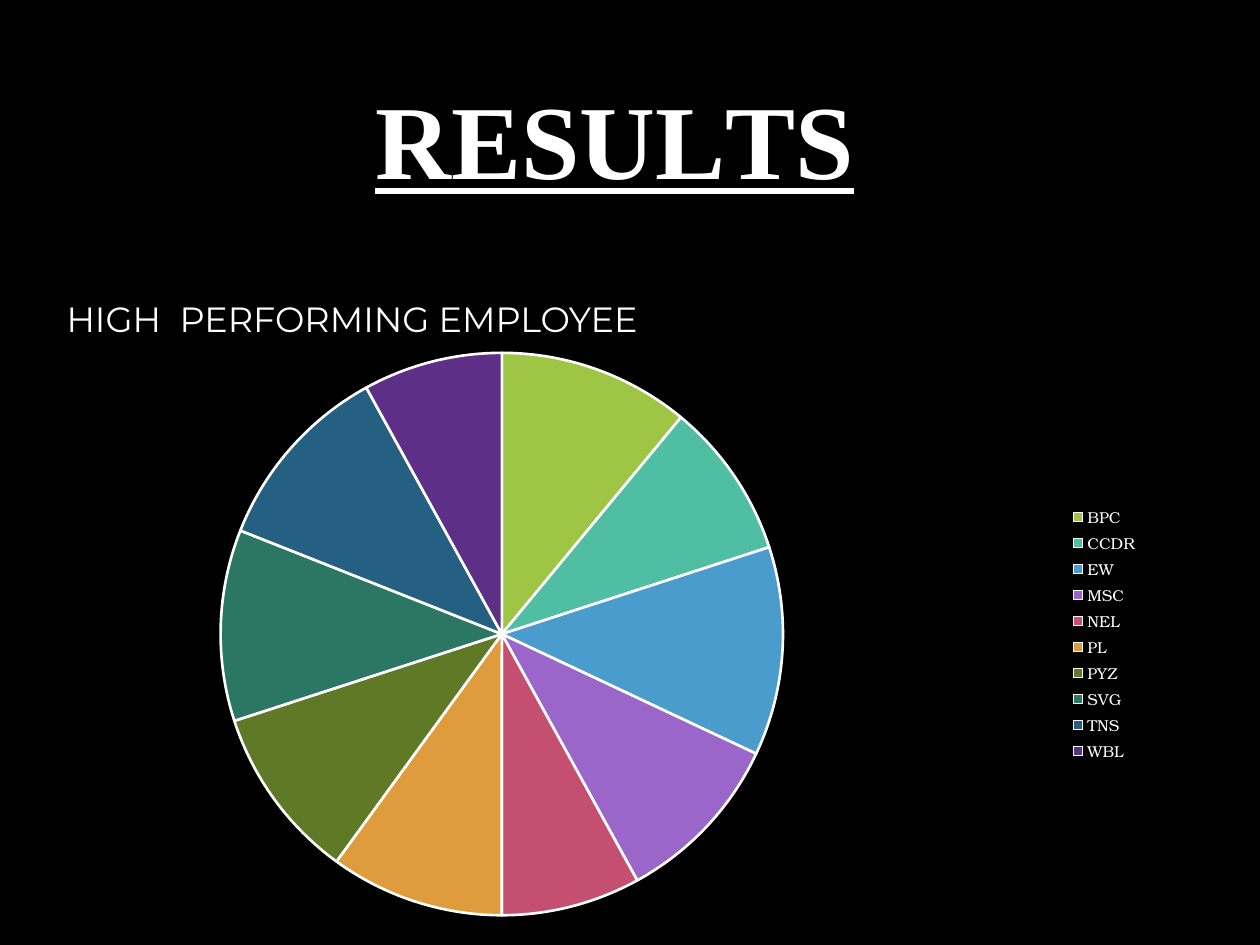
import pptx
import pptx.util
import pptx.dml.color
import pptx.chart.data
import pptx.enum.chart
import pptx.enum.text
from dataclasses import dataclass

WIDE, HIGH = 10, 7.5


@dataclass(frozen=True)
class Theme:
    back: str = "000000"
    ink: str = "FFFFFF"
    head: str = "Times New Roman"
    body: str = "Montserrat"
    chart: str = "TeX Gyre Bonum"
    head_size: int = 60
    body_size: int = 20
    chart_size: int = 10
    key_size: int = 9
    edge: float = 1.5


THEME = Theme()
TITLE = [("R", None), ("E", -0.4), ("S", 0.1), ("U", -0.3), ("L", -4), ("TS", 0)]
SHARES = [
    ("BPC", 11, "9EC544"),
    ("CCDR", 9, "50BEA3"),
    ("EW", 12, "4A9CCC"),
    ("MSC", 10, "9A66CA"),
    ("NEL", 8, "C54F71"),
    ("PL", 10, "DE9C3C"),
    ("PYZ", 10, "607926"),
    ("SVG", 11, "2C7664"),
    ("TNS", 11, "256082"),
    ("WBL", 8, "5D2F87"),
]


def color(code):
    return pptx.dml.color.RGBColor.from_string(code)


def area(left, top, width, height):
    return [pptx.util.Inches(n) for n in
            (left * WIDE, top * HIGH, width * WIDE, height * HIGH)]


def style(font, name, size):
    font.name = name
    font.size = pptx.util.Pt(size)
    font.color.rgb = color(THEME.ink)


def add_title(slide, box):
    title = slide.shapes.title
    title.left, title.top, title.width, title.height = box
    frame = title.text_frame
    frame.word_wrap = True
    frame.auto_size = pptx.enum.text.MSO_AUTO_SIZE.NONE
    frame.vertical_anchor = pptx.enum.text.MSO_ANCHOR.MIDDLE
    para = frame.paragraphs[0]
    para.alignment = pptx.enum.text.PP_ALIGN.CENTER
    para.line_spacing = 0.9
    for text, space in TITLE:
        run = para.add_run()
        run.text = text
        style(run.font, THEME.head, THEME.head_size)
        run.font.bold = run.font.underline = True
        if space is not None:
            run.font._element.set("spc", str(round(space * 100)))


def add_label(slide, box):
    frame = slide.shapes.add_textbox(*box).text_frame
    frame.word_wrap = True
    para = frame.paragraphs[0]
    para.line_spacing = 1.2
    para.space_before = pptx.util.Pt(10)
    run = para.add_run()
    run.text = "HIGH  PERFORMING EMPLOYEE"
    style(run.font, THEME.body, THEME.body_size)


def add_pie(slide, box):
    names, values, fills = zip(*SHARES)
    data = pptx.chart.data.CategoryChartData()
    data.categories = names
    data.add_series("Series 1", values)
    kind = pptx.enum.chart.XL_CHART_TYPE.PIE
    chart = slide.shapes.add_chart(kind, *box, data).chart
    style(chart.font, THEME.chart, THEME.chart_size)
    chart.has_title = False
    chart.has_legend = True
    chart.legend.position = pptx.enum.chart.XL_LEGEND_POSITION.RIGHT
    chart.legend.include_in_layout = False
    style(chart.legend.font, THEME.chart, THEME.key_size)
    plot = chart.plots[0]
    plot.vary_by_categories = True
    for spot, fill in enumerate(fills):
        form = plot.series[0].points[spot].format
        form.fill.solid()
        form.fill.fore_color.rgb = color(fill)
        form.line.color.rgb = color(THEME.ink)
        form.line.width = pptx.util.Pt(THEME.edge)


def main():
    deck = pptx.Presentation()
    deck.slide_width = pptx.util.Inches(WIDE)
    deck.slide_height = pptx.util.Inches(HIGH)
    slide = deck.slides.add_slide(deck.slide_layouts.get_by_name("Title Only"))
    slide.background.fill.solid()
    slide.background.fill.fore_color.rgb = color(THEME.back)
    add_title(slide, area(0.063, 0.037, 0.85, 0.233))
    add_label(slide, area(0.043, 0.299, 0.87, 0.11))
    add_pie(slide, area(-0.051, 0.355, 0.964, 0.632))
    deck.save("out.pptx")


if __name__ == "__main__":
    main()
